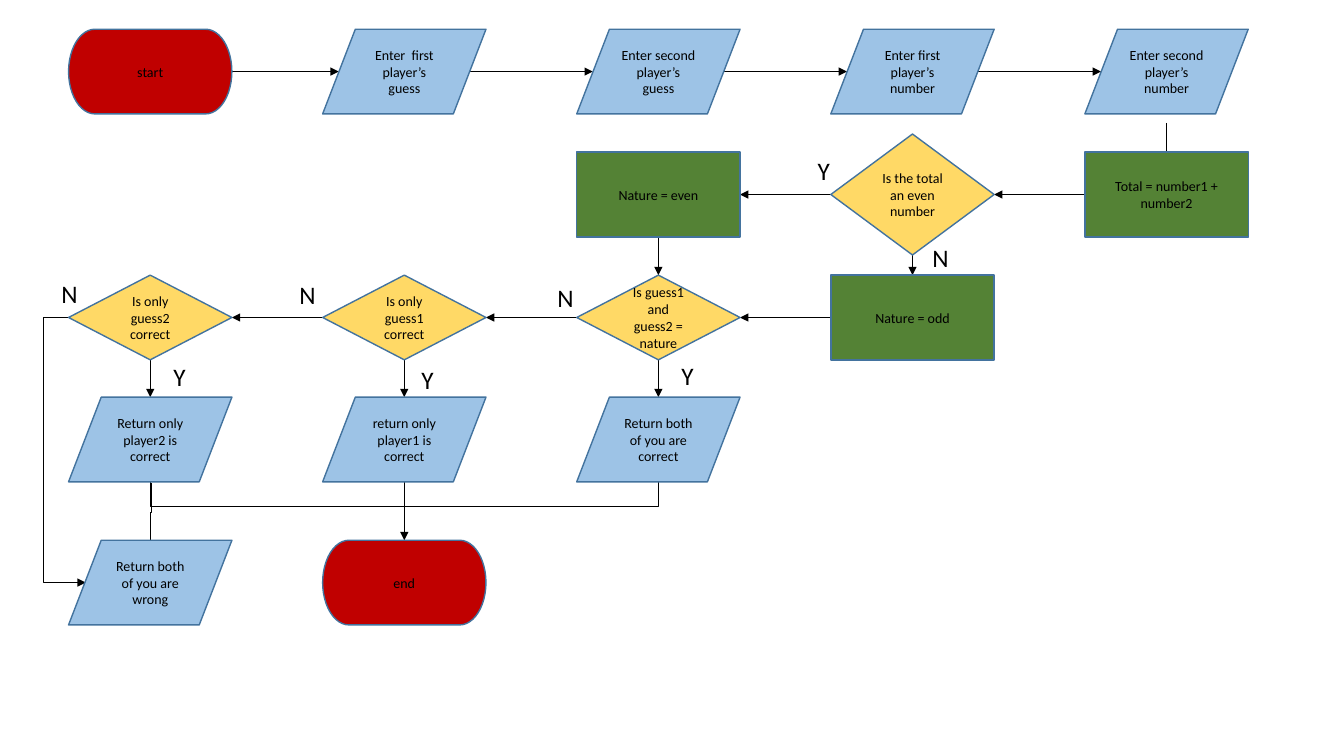
import pptx
import pptx.util
import pptx.dml.color
import pptx.enum.shapes
import pptx.enum.text
import pptx.oxml
import pptx.oxml.ns

Inches, Pt = pptx.util.Inches, pptx.util.Pt
KIND = pptx.enum.shapes.MSO_SHAPE
ROUTE = pptx.enum.shapes.MSO_CONNECTOR
NS = pptx.oxml.ns.nsdecls("a")


def color(hex_code):
    return pptx.dml.color.RGBColor.from_string(hex_code)


def connect(start, end, arrow=True, bend=None, turned=False):
    """Straight line, or an elbow whose middle leg lies at bend (a y if turned, else an x)."""
    axis = 1 if turned else 0
    drawn = [start, end]
    if turned:  # box before its quarter turn about the centre
        cx, cy = (start[0] + end[0]) / 2, (start[1] + end[1]) / 2
        drawn = [(cx + y - cy, cy - x + cx) for x, y in drawn]
    route = ROUTE.STRAIGHT if bend is None else ROUTE.ELBOW
    link = slide.shapes.add_connector(route, *[Inches(v) for point in drawn for v in point])
    link.line.color.rgb = color("000000")
    link.line.width = Pt(0.5)
    props = link._element.spPr
    if turned:
        props.find(pptx.oxml.ns.qn("a:xfrm")).set("rot", "5400000")
    if bend is not None:
        share = round((bend - start[axis]) / (end[axis] - start[axis]) * 100000)
        guides = props.find(pptx.oxml.ns.qn("a:prstGeom")).get_or_add_avLst()
        guides.append(pptx.oxml.parse_xml(f'<a:gd {NS} name="adj1" fmla="val {share}"/>'))
    if arrow:
        link.line._get_or_add_ln().append(pptx.oxml.parse_xml(f'<a:tailEnd {NS} type="triangle"/>'))
    props.append(pptx.oxml.parse_xml(f"<a:effectLst {NS}/>"))


deck = pptx.Presentation()
deck.slide_width, deck.slide_height = Inches(13.33), Inches(7.5)
slide = deck.slides.add_slide(deck.slide_layouts[6])

# Grid of step centres
STEP_W, STEP_H, CHECK_H = 1.62, 0.84, 1.2
HALF_W, HALF_H = STEP_W / 2, STEP_H / 2
SLANT = 0.16  # inset of a parallelogram's side at mid height
cols = [1.49 + 2.52 * i for i in range(5)]
rows = [0.71, 1.93, 3.15, 4.36, 5.78]

# Row arrows: row, from column, to column, inset at each end
for row, source, target, inset_from, inset_to in [
    (0, 0, 1, 0, SLANT), (0, 1, 2, SLANT, SLANT), (0, 2, 3, SLANT, SLANT), (0, 3, 4, SLANT, SLANT),
    (1, 4, 3, 0, 0), (1, 3, 2, 0, 0),
    (2, 3, 2, 0, 0), (2, 2, 1, 0, 0), (2, 1, 0, 0, 0),
]:
    way = 1 if target > source else -1
    connect((cols[source] + way * (HALF_W - inset_from), rows[row]),
            (cols[target] - way * (HALF_W - inset_to), rows[row]))

# Column arrows: column, from y, to y
for col, top, bottom in [
    (4, 1.22, 1.61), (3, rows[1] + CHECK_H / 2, rows[2] - HALF_H),
    (2, rows[1] + HALF_H, rows[2] - HALF_H),
    *[(i, rows[2] + HALF_H, rows[3] - HALF_H) for i in range(3)],
    (1, rows[3] + HALF_H, rows[4] - HALF_H),
]:
    connect((cols[col], top), (cols[col], bottom))

# Elbows: neither guess correct, then the results joining at the end
connect((0.68, rows[2]), (0.85, rows[4]), bend=0.43)
for col in (2, 0):
    connect((cols[col], 4.78), (cols[1], 4.77), arrow=False, bend=5.03, turned=True)
connect((1.49, 5.37), (1.5, 4.79), arrow=False, bend=5.08, turned=True)

# Steps: kind, fill, then column, row and wording of each
step_kinds = [
    (KIND.FLOWCHART_TERMINATOR, "C00000", [(0, 0, "start"), (1, 4, "end")]),
    (KIND.FLOWCHART_DATA, "9DC3E6", [
        (1, 0, "Enter  first player’s guess"), (2, 0, "Enter second player’s guess"),
        (3, 0, "Enter first player’s number"), (4, 0, "Enter second player’s number"),
        (0, 3, "Return only player2 is correct"), (1, 3, "return only player1 is correct"),
        (2, 3, "Return both of you are correct"), (0, 4, "Return both of you are wrong")]),
    (KIND.FLOWCHART_PROCESS, "548235", [
        (4, 1, "Total = number1 + number2"), (2, 1, "Nature = even"), (3, 2, "Nature = odd")]),
    (KIND.FLOWCHART_DECISION, "FFD966", [
        (3, 1, "Is the total an even number"), (0, 2, "Is only guess2 correct"),
        (1, 2, "Is only guess1 correct"), (2, 2, "Is guess1 and guess2 = nature")]),
]
for kind, fill, steps in step_kinds:
    for col, row, wording in steps:
        height = CHECK_H if (col, row) == (3, 1) else STEP_H
        step = slide.shapes.add_shape(kind, Inches(cols[col] - HALF_W), Inches(rows[row] - height / 2),
                                      Inches(STEP_W), Inches(height))
        step.shadow.inherit = False
        step.fill.solid()
        step.fill.fore_color.rgb = color(fill)
        step.line.color.rgb = color("43739E")
        step.line.width = Pt(1)
        step.text_frame.text = wording
        step.text_frame.vertical_anchor = pptx.enum.text.MSO_ANCHOR.MIDDLE
        paragraph = step.text_frame.paragraphs[0]
        paragraph.alignment = pptx.enum.text.PP_ALIGN.CENTER
        font = paragraph.runs[0].font
        font.name, font.size, font.color.rgb = "Calibri", Pt(10), color("000000")

# Yes and no answers beside the decisions
for answer, left, top in [
    ("Y", 8.01, 1.49), ("N", 9.15, 2.35), ("N", 5.43, 2.75), ("Y", 4.08, 3.57),
    ("Y", 1.62, 3.54), ("N", 2.87, 2.72), ("Y", 6.66, 3.53), ("N", 0.51, 2.71),
]:
    label = slide.shapes.add_textbox(Inches(left), Inches(top), Inches(0.35), Inches(0.4))
    label.text_frame.word_wrap = True
    label.text_frame.text = answer
    font = label.text_frame.paragraphs[0].runs[0].font
    font.name, font.size, font.color.rgb = "Calibri", Pt(18), color("000000")

deck.save("out.pptx")
